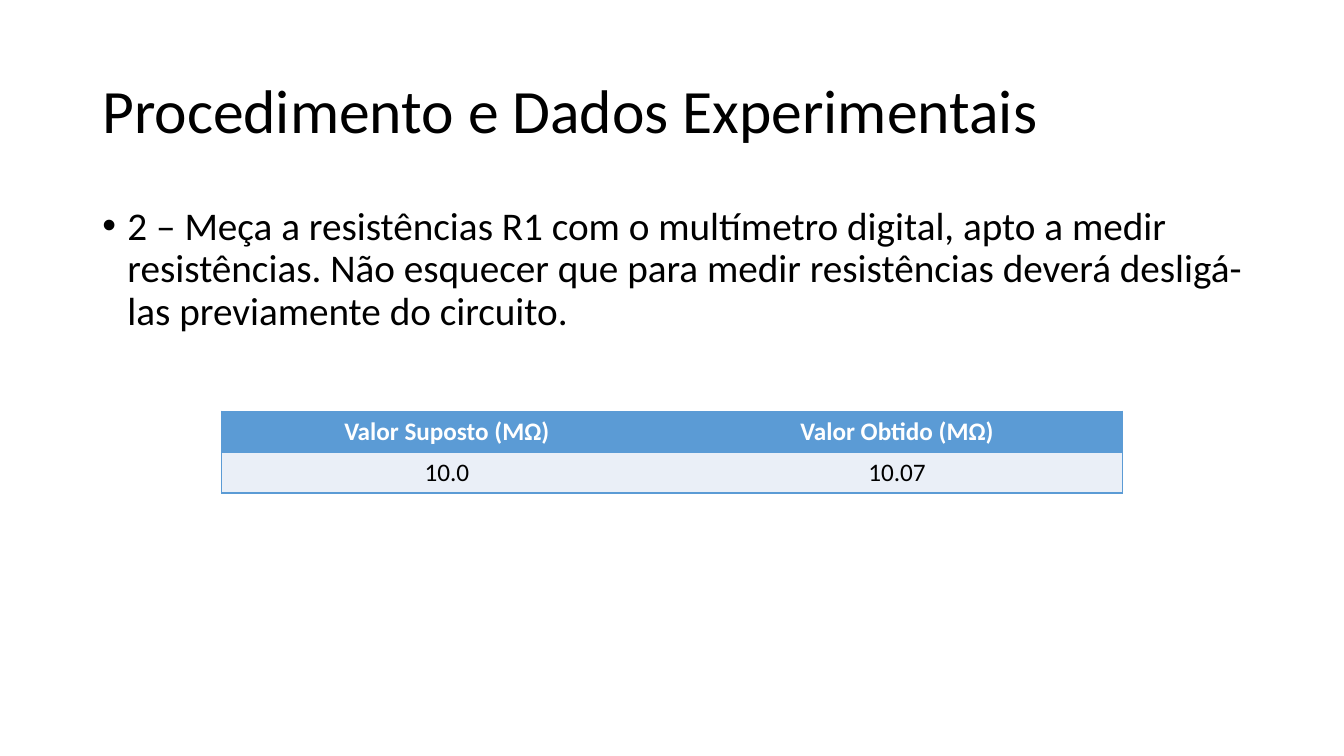
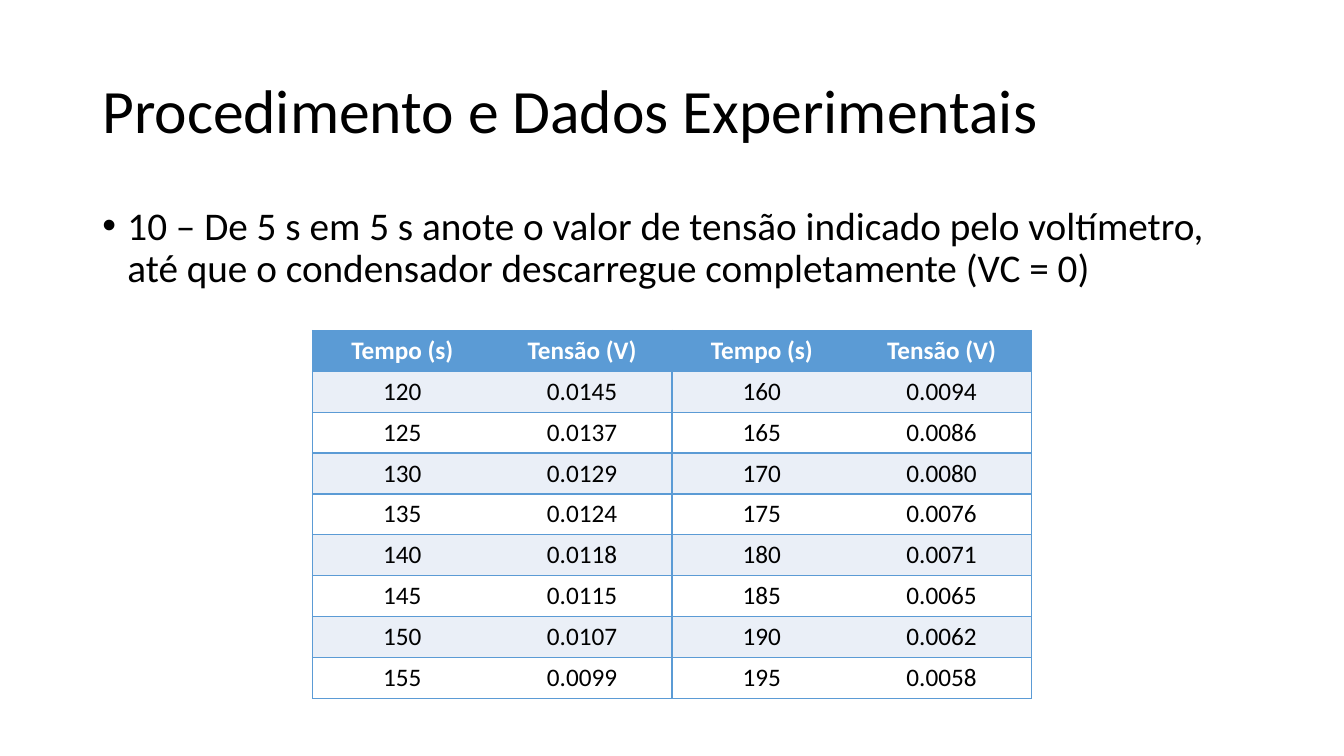
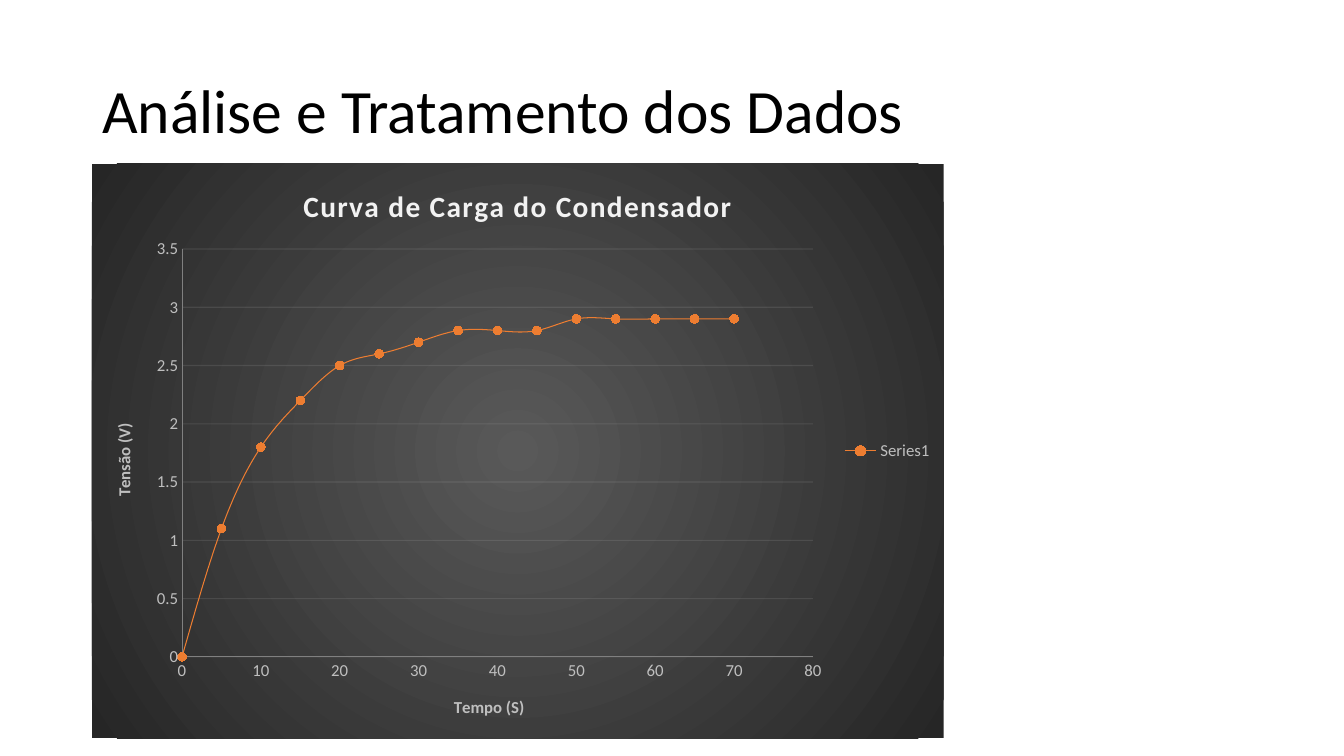
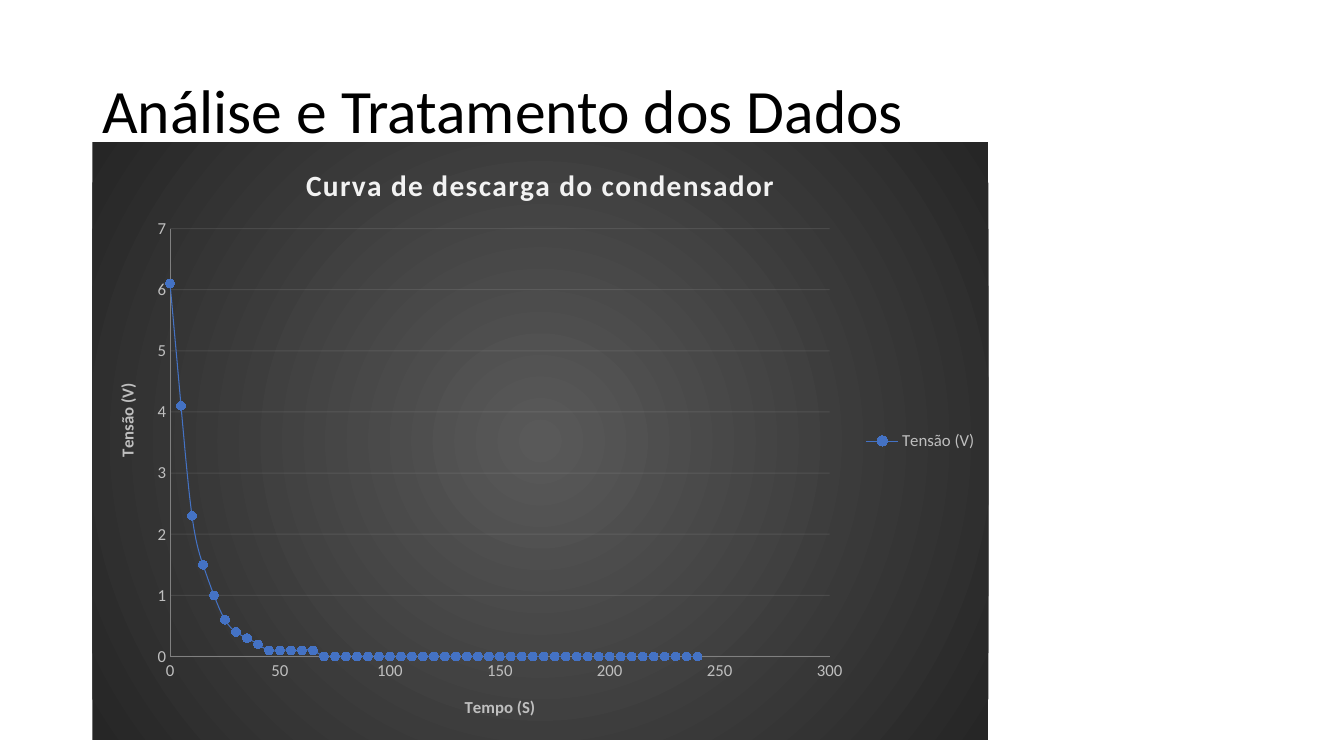
from lxml import etree
from pptx import Presentation
from pptx.chart.data import XyChartData
from pptx.dml.color import RGBColor
from pptx.enum.chart import XL_CHART_TYPE, XL_LEGEND_POSITION, XL_MARKER_STYLE, XL_TICK_MARK
from pptx.enum.lang import MSO_LANGUAGE_ID
from pptx.enum.text import MSO_ANCHOR, PP_ALIGN
from pptx.oxml import parse_xml
from pptx.oxml.ns import nsdecls, qn
from pptx.util import Pt

SMOOTH_SCATTER = XL_CHART_TYPE.XY_SCATTER_SMOOTH
LEGEND_RIGHT = XL_LEGEND_POSITION.RIGHT
CIRCLE = XL_MARKER_STYLE.CIRCLE
NO_TICK = XL_TICK_MARK.NONE
PORTUGUESE = MSO_LANGUAGE_ID.PORTUGUESE
MIDDLE = MSO_ANCHOR.MIDDLE
CENTER = PP_ALIGN.CENTER

FONT = "Calibri"
BLACK, WHITE = "000000", "FFFFFF"
BLUE, PALE_BLUE = "5B9BD5", "EAEFF7"
CHART_TITLE, CHART_TEXT, AXIS_LINE, GRID = "F2F2F2", "BFBFBF", "808080", "F2F2F2"
CHART_CENTER, CHART_EDGE = "595959", "262626"
SLIDE_WIDTH, SLIDE_HEIGHT = 960, 540
TEXT_LEFT, TEXT_WIDTH = 66, 828
ROW_HEIGHT = 29.2


def rgb(hex_color):
    return RGBColor.from_string(hex_color)


def style_font(font, size, color, bold=False):
    font.name = FONT
    font.size = Pt(size)
    font.bold = bold
    font.color.rgb = rgb(color)
    font.language_id = PORTUGUESE


presentation = Presentation()
presentation.slide_width = Pt(SLIDE_WIDTH)
presentation.slide_height = Pt(SLIDE_HEIGHT)
blank_layout = presentation.slide_layouts[6]

# Titles and bullets
PROCEDURE = "Procedimento e Dados Experimentais"
ANALYSIS = "Análise e Tratamento dos Dados"
slide_texts = [
    (PROCEDURE, "2 – Meça a resistências R1 com o multímetro digital, apto a medir "
                "resistências. Não esquecer que para medir resistências deverá "
                "desligá-las previamente do circuito."),
    (PROCEDURE, "10 – De 5 s em 5 s anote o valor de tensão indicado pelo voltímetro, "
                "até que o condensador descarregue completamente (VC = 0)"),
    (ANALYSIS, None),
    (ANALYSIS, None),
]
slides = []
for title, bullet in slide_texts:
    slide = presentation.slides.add_slide(blank_layout)
    slides.append(slide)
    for text, top, height, size in [(title, 28.8, 104.4, 44), (bullet, 144, 342.6, 28)]:
        if text is None:
            continue
        box = slide.shapes.add_textbox(Pt(TEXT_LEFT), Pt(top), Pt(TEXT_WIDTH), Pt(height))
        frame = box.text_frame
        frame.word_wrap = True
        paragraph = frame.paragraphs[0]
        if text is title:
            frame.vertical_anchor = MIDDLE
        else:
            properties = paragraph._p.get_or_add_pPr()
            properties.set("marL", str(Pt(18)))
            properties.set("indent", str(Pt(-18)))
            etree.SubElement(properties, qn("a:buFont")).set("typeface", "Arial")
            etree.SubElement(properties, qn("a:buChar")).set("char", "•")
        paragraph.line_spacing = 0.9
        run = paragraph.add_run()
        run.text = text
        style_font(run.font, size, BLACK)

# Tables: slide, left, top, column width, rows
voltage_header = ("Tempo (s)", "Tensão (V)")
first_voltages = ["0.0145", "0.0137", "0.0129", "0.0124", "0.0118", "0.0115", "0.0107", "0.0099"]
last_voltages = ["0.0094", "0.0086", "0.0080", "0.0076", "0.0071", "0.0065", "0.0062", "0.0058"]
tables = [
    (slides[0], 158.4, 293.7, 321.6,
     [("Valor Suposto (MΩ)", "Valor Obtido (MΩ)"), ("10.0", "10.07")]),
    (slides[1], 223.2, 236, 128.4,
     [voltage_header, *zip(range(120, 160, 5), first_voltages)]),
    (slides[1], 480, 236, 128.4,
     [voltage_header, *zip(range(160, 200, 5), last_voltages)]),
]
for slide, left, top, column_width, rows in tables:
    column_count = len(rows[0])
    table = slide.shapes.add_table(
        len(rows), column_count, Pt(left), Pt(top),
        Pt(column_width * column_count), Pt(ROW_HEIGHT * len(rows))).table
    table.horz_banding = False
    for column in table.columns:
        column.width = Pt(column_width)
    for row_index, values in enumerate(rows):
        table.rows[row_index].height = Pt(ROW_HEIGHT)
        is_header = row_index == 0
        fill = BLUE if is_header else PALE_BLUE if row_index % 2 else WHITE
        for column_index, value in enumerate(values):
            cell = table.cell(row_index, column_index)
            cell.fill.solid()
            cell.fill.fore_color.rgb = rgb(fill)
            paragraph = cell.text_frame.paragraphs[0]
            paragraph.alignment = CENTER
            run = paragraph.add_run()
            run.text = str(value)
            style_font(run.font, 18, WHITE if is_header else BLACK, is_header)
            borders = {"lnL": column_index == 0, "lnR": column_index == column_count - 1,
                       "lnT": True, "lnB": True}
            for position, (side, visible) in enumerate(borders.items()):
                paint = (f'<a:solidFill><a:srgbClr val="{BLUE}"/></a:solidFill>'
                         if visible else "<a:noFill/>")
                border = parse_xml(
                    f'<a:{side} {nsdecls("a")} w="{Pt(1)}">{paint}</a:{side}>')
                cell._tc.get_or_add_tcPr().insert(position, border)

# Charts: plot and voltage title are placed in points from the chart's corner
charts = [
    dict(slide=slides[2], frame=(65.6, 116.9, 608.4, 410.4), plot=(64.4, 61, 450.7, 291.4),
         voltage_title=None, title="Curva de Carga do Condensador", series=None, color="ED7D31",
         x_scale=(80, 10), y_scale=(3.5, 0.5),
         values=[0, 1.1, 1.8, 2.2, 2.5, 2.6, 2.7] + [2.8] * 3 + [2.9] * 5),
    dict(slide=slides[3], frame=(66, 101.5, 640, 427), plot=(55.5, 61.8, 471.2, 305.7),
         voltage_title=(14.5, 170), title="Curva de descarga do condensador",
         series="Tensão (V)", color="4472C4", x_scale=(300, 50), y_scale=(7, 1),
         values=[6.1, 4.1, 2.3, 1.5, 1, 0.6, 0.4, 0.3, 0.2] + [0.1] * 5 + [0] * 35),
]
for settings in charts:
    chart_data = XyChartData()
    data_series = chart_data.add_series(settings["series"] or "")
    for index, voltage in enumerate(settings["values"]):
        data_series.add_data_point(5 * index, voltage)
    chart = settings["slide"].shapes.add_chart(
        SMOOTH_SCATTER, *map(Pt, settings["frame"]), chart_data).chart
    style_font(chart.font, 12, CHART_TEXT)

    chart.has_title = True
    run = chart.chart_title.text_frame.paragraphs[0].add_run()
    run.text = settings["title"]
    style_font(run.font, 21, CHART_TITLE, True)
    run.font._element.set("spc", "100")
    chart.chart_title.include_in_layout = False

    chart.has_legend = True
    chart.legend.position = LEGEND_RIGHT
    chart.legend.include_in_layout = False
    style_font(chart.legend.font, 12, CHART_TEXT)

    for axis, axis_title, (maximum, step) in [
            (chart.category_axis, "Tempo (S)", settings["x_scale"]),
            (chart.value_axis, "Tensão (V)", settings["y_scale"])]:
        axis.minimum_scale = 0
        axis.maximum_scale = maximum
        axis.major_unit = step
        axis.major_tick_mark = axis.minor_tick_mark = NO_TICK
        axis.format.line.color.rgb = rgb(AXIS_LINE)
        axis.format.line.width = Pt(0.75)
        style_font(axis.tick_labels.font, 12, CHART_TEXT)
        frame = axis.axis_title.text_frame
        run = frame.paragraphs[0].add_run()
        run.text = axis_title
        style_font(run.font, 12, CHART_TEXT, True)
    body = frame._txBody.find(qn("a:bodyPr"))
    body.set("rot", "-5400000")
    body.set("vert", "horz")

    chart.category_axis.has_major_gridlines = False
    chart.value_axis.has_major_gridlines = True
    grid_line = chart.value_axis.major_gridlines.format.line
    grid_line.color.rgb = rgb(GRID)
    grid_line.width = Pt(0.75)
    for color in chart.value_axis.major_gridlines._xAx.iterfind(
            f'{qn("c:majorGridlines")}//{qn("a:srgbClr")}'):
        etree.SubElement(color, qn("a:alpha")).set("val", "10000")

    plot = chart.plots[0]
    plot.vary_by_categories = False
    series = plot.series[0]
    series.format.line.width = Pt(0.75)
    series.marker.style = CIRCLE
    series.marker.size = 6
    series.marker.format.fill.solid()
    series.marker.format.fill.fore_color.rgb = rgb(settings["color"])
    for line in (series.format.line, series.marker.format.line):
        line.color.rgb = rgb(settings["color"])
    series_element = series._element
    series_element.get_or_add_smooth().val = True
    if settings["series"] is None:
        series_element.remove(series_element.find(qn("c:tx")))

    chart_width, chart_height = settings["frame"][2:]
    plot_area = chart.element.find(f'{qn("c:chart")}/{qn("c:plotArea")}')
    placements = [(plot_area, 0, '<c:layoutTarget val="inner"/>', settings["plot"])]
    if settings["voltage_title"]:
        placements.append(
            (chart.value_axis.axis_title._element, 1, "", settings["voltage_title"]))
    for element, position, target, lengths in placements:
        for layout in element.findall(qn("c:layout")):
            element.remove(layout)
        bounds = "".join(
            f'<c:{name} val="{length / total:.4f}"/>' for name, length, total
            in zip("xywh", lengths, (chart_width, chart_height) * 2))
        element.insert(position, parse_xml(
            f'<c:layout {nsdecls("c")}><c:manualLayout>{target}'
            f'<c:xMode val="edge"/><c:yMode val="edge"/>{bounds}</c:manualLayout></c:layout>'))
    chart.element.find(qn("c:chart")).addnext(parse_xml(
        f'<c:spPr {nsdecls("c", "a")}><a:gradFill><a:gsLst>'
        f'<a:gs pos="0"><a:srgbClr val="{CHART_CENTER}"/></a:gs>'
        f'<a:gs pos="100000"><a:srgbClr val="{CHART_EDGE}"/></a:gs></a:gsLst>'
        '<a:path path="circle"><a:fillToRect l="50000" t="50000" r="50000" b="50000"/></a:path>'
        '</a:gradFill><a:ln><a:noFill/></a:ln></c:spPr>'))

presentation.save("out.pptx")
